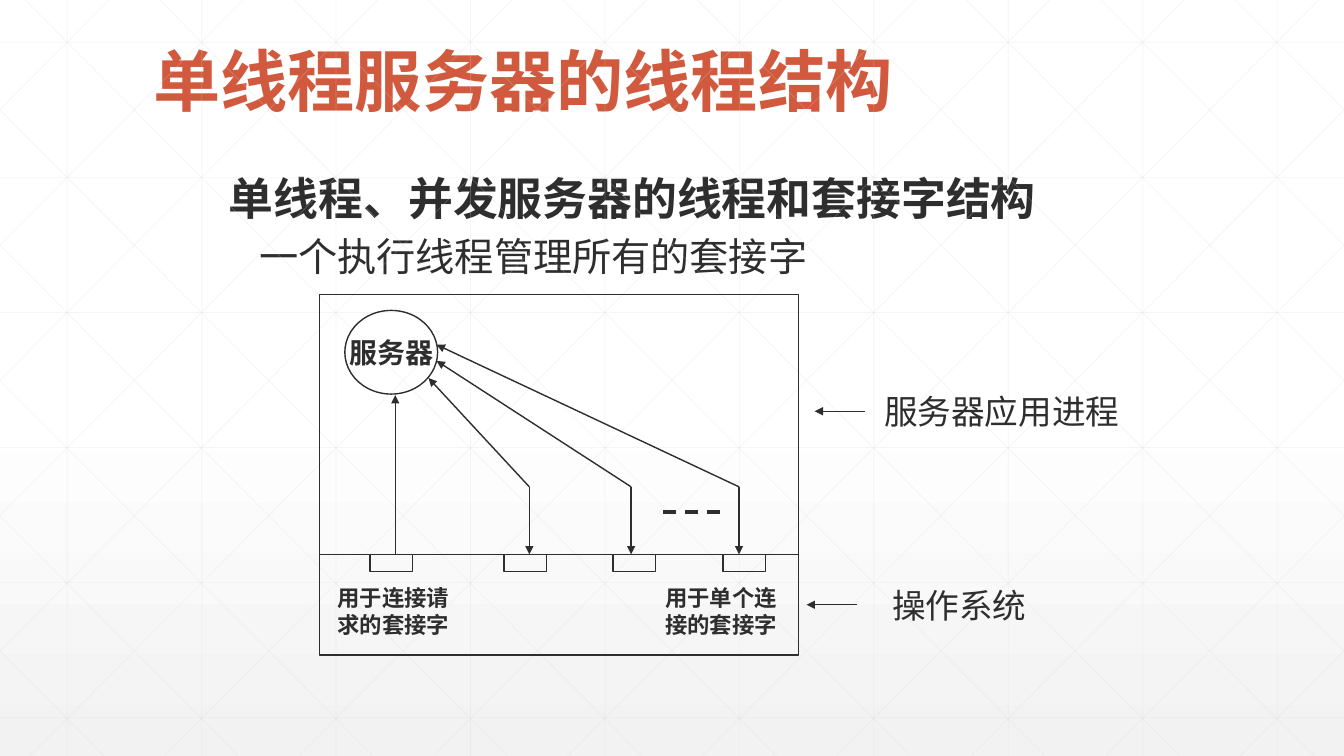
"""Build the slide on the thread structure of a single-threaded server."""
from copy import deepcopy

from lxml import etree
from pptx import Presentation
from pptx.dml.color import RGBColor
from pptx.enum.dml import MSO_LINE
from pptx.enum.shapes import MSO_CONNECTOR, MSO_SHAPE
from pptx.enum.text import MSO_ANCHOR, MSO_AUTO_SIZE, PP_ALIGN
from pptx.oxml.ns import qn
from pptx.util import Inches, Pt

RECT, OVAL = MSO_SHAPE.RECTANGLE, MSO_SHAPE.OVAL
STRAIGHT, DASH = MSO_CONNECTOR.STRAIGHT, MSO_LINE.DASH
LEFT, CENTER, JUSTIFY = PP_ALIGN.LEFT, PP_ALIGN.CENTER, PP_ALIGN.JUSTIFY
TOP, MIDDLE, BOTTOM = MSO_ANCHOR.TOP, MSO_ANCHOR.MIDDLE, MSO_ANCHOR.BOTTOM
NO_FIT = MSO_AUTO_SIZE.NONE

WIDTH, HEIGHT = 13.33, 7.5
INK, ACCENT, GRID = "2D2E2D", "D15A3E", "D9D9D9"
SERIF = "Times New Roman"
STOPS = [(0, "FFFFFF"), (0.53, "FFFFFF"), (1, "F2F2F2")]
PITCH = 4 / 3
DIAGONAL_RUN = 7.45

TITLE = "单线程服务器的线程结构"
TITLE_BOX = (1.42, 0, 10.5, 1.25)
TITLE_FONT = {"name": "Arial", "size": Pt(48), "bold": True}
BODY_BOX = (2.17, 1.75, 8.91, 1.14)
BODY = [
    ("单线程、并发服务器的线程和套接字结构", 32, True, 0, 0.25, -0.25, 0),
    ("一个执行线程管理所有的套接字", 28, False, 1, 0.5, -0.2, 12),
]

FRAME = (3.17, 2.92, 4.75, 3.58)
SERVER = ("服务器", (3.42, 3.08, 0.92, 0.83))
SYSTEM_TOP = 5.5
SOCKETS_X = [3.67, 5, 6.08, 7.17]
SOCKET_SIZE = (0.42, 0.17)
BEND_Y = 4.83
THREADS = [(5.25, (4.25, 3.75)), (6.26, (4.33, 3.58)), (7.33, (4.33, 3.42))]
ARROWS = [
    (3.92, SYSTEM_TOP, 3.92, 3.92),
    (8.5, 6, 8, 6),
    (8.58, 4.08, 8.08, 4.08),
]
ELLIPSIS = (6.58, 5.08, 7.17, 5.08)
LABELS = [
    ("用于单个连接的套接字", (6.5, 5.75, 1.5, 0.64), 16, True),
    ("用于连接请求的套接字", (3.25, 5.75, 1.5, 0.64), 16, True),
    ("操作系统", (8.75, 5.75, 1.67, 0.5), 24, False),
    ("服务器应用进程", (8.67, 3.83, 2.58, 0.5), 24, False),
]


def rgb(value):
    return RGBColor.from_string(value)


def box(values):
    return [Inches(v) for v in values]


def write(p, text, color=INK, **font):
    r = p.add_run()
    r.text = text
    for key, value in font.items():
        setattr(r.font, key, value)
    r.font.color.rgb = rgb(color)


def add_line(s, ends, color=INK, width=1, arrow=False, alpha=None):
    c = s.shapes.add_connector(STRAIGHT, *box(ends))
    c.line.color.rgb = rgb(color)
    c.line.width = Pt(width)
    ln = c.line._ln
    if alpha:
        clr = ln.find(".//" + qn("a:srgbClr"))
        etree.SubElement(clr, qn("a:alpha"), val=str(alpha * 1000))
    if arrow:
        etree.SubElement(ln, qn("a:tailEnd"), type="triangle")
    etree.SubElement(c._element.spPr, qn("a:effectLst"))
    return c


def add_outline(s, kind, place):
    sp = s.shapes.add_shape(kind, *box(place))
    sp.shadow.inherit = False
    sp.fill.background()
    sp.line.color.rgb = rgb(INK)
    sp.line.width = Pt(1)
    return sp


def place_holder(sp, place, anchor):
    sp.left, sp.top, sp.width, sp.height = box(place)
    tf = sp.text_frame
    tf.auto_size = NO_FIT
    tf.word_wrap = True
    tf.vertical_anchor = anchor
    return tf


def add_background(s):
    fill = s.background.fill
    fill.gradient()
    fill.gradient_angle = 270
    stop_list = s._element.find(".//" + qn("a:gsLst"))
    stop_list.append(deepcopy(stop_list[-1]))
    for stop, (position, color) in zip(fill.gradient_stops, STOPS):
        stop.position = position
        stop.color.rgb = rgb(color)

    lines = [(x, 0, x, HEIGHT) for x in (PITCH * (i + 0.5) for i in range(10))]
    lines += [(0, y, WIDTH, y) for y in (0.42 + 1.34 * i for i in range(6))]
    for i in range(-5, 10):
        start = 0.25 + PITCH * i
        x1, x2 = max(0, start), min(WIDTH, start + DIAGONAL_RUN)
        y1, y2 = ((x - start) * HEIGHT / DIAGONAL_RUN for x in (x1, x2))
        lines += [(x1, y1, x2, y2), (WIDTH - x1, y1, WIDTH - x2, y2)]
    for ends in lines:
        add_line(s, ends, GRID, 0.5, alpha=25)


def add_headings(s):
    title, body = s.placeholders
    p = place_holder(title, TITLE_BOX, BOTTOM).paragraphs[0]
    p.alignment = LEFT
    p.line_spacing = 0.9
    write(p, TITLE, ACCENT, **TITLE_FONT)

    tf = place_holder(body, BODY_BOX, TOP)
    for i, (text, size, bold, level, margin, indent, before) in enumerate(BODY):
        p = tf.add_paragraph() if i else tf.paragraphs[0]
        pPr = p._p.get_or_add_pPr()
        pPr.set("marL", str(Inches(margin)))
        pPr.set("indent", str(Inches(indent)))
        etree.SubElement(pPr, qn("a:buNone"))
        layout = {"level": level, "alignment": JUSTIFY, "line_spacing": 0.8,
                  "space_before": Pt(before)}
        for key, value in layout.items():
            setattr(p, key, value)
        write(p, text, name="Quicksand", size=Pt(size), bold=bold)


def add_diagram(s):
    add_outline(s, RECT, FRAME)
    add_line(s, (FRAME[0], SYSTEM_TOP, FRAME[0] + FRAME[2], SYSTEM_TOP))
    for x in SOCKETS_X:
        add_outline(s, RECT, (x, SYSTEM_TOP, *SOCKET_SIZE))

    name, place = SERVER
    tf = add_outline(s, OVAL, place).text_frame
    tf.word_wrap = False
    tf.vertical_anchor = MIDDLE
    tf.paragraphs[0].alignment = CENTER
    write(tf.paragraphs[0], name, name=SERIF, size=Pt(20), bold=True)

    for x, tip in THREADS:
        add_line(s, (x, BEND_Y, x, SYSTEM_TOP), arrow=True)
        add_line(s, (x, BEND_Y, *tip), arrow=True)
    for ends in ARROWS:
        add_line(s, ends, arrow=True)
    add_line(s, ELLIPSIS, width=2.25).line.dash_style = DASH

    for text, place, size, bold in LABELS:
        tf = s.shapes.add_textbox(*box(place)).text_frame
        tf.word_wrap = True
        write(tf.paragraphs[0], text, name=SERIF, size=Pt(size), bold=bold)


def main():
    prs = Presentation()
    prs.slide_width, prs.slide_height = box((WIDTH, HEIGHT))
    s = prs.slides.add_slide(prs.slide_layouts[1])
    add_background(s)
    add_headings(s)
    add_diagram(s)
    prs.save("out.pptx")


if __name__ == "__main__":
    main()
